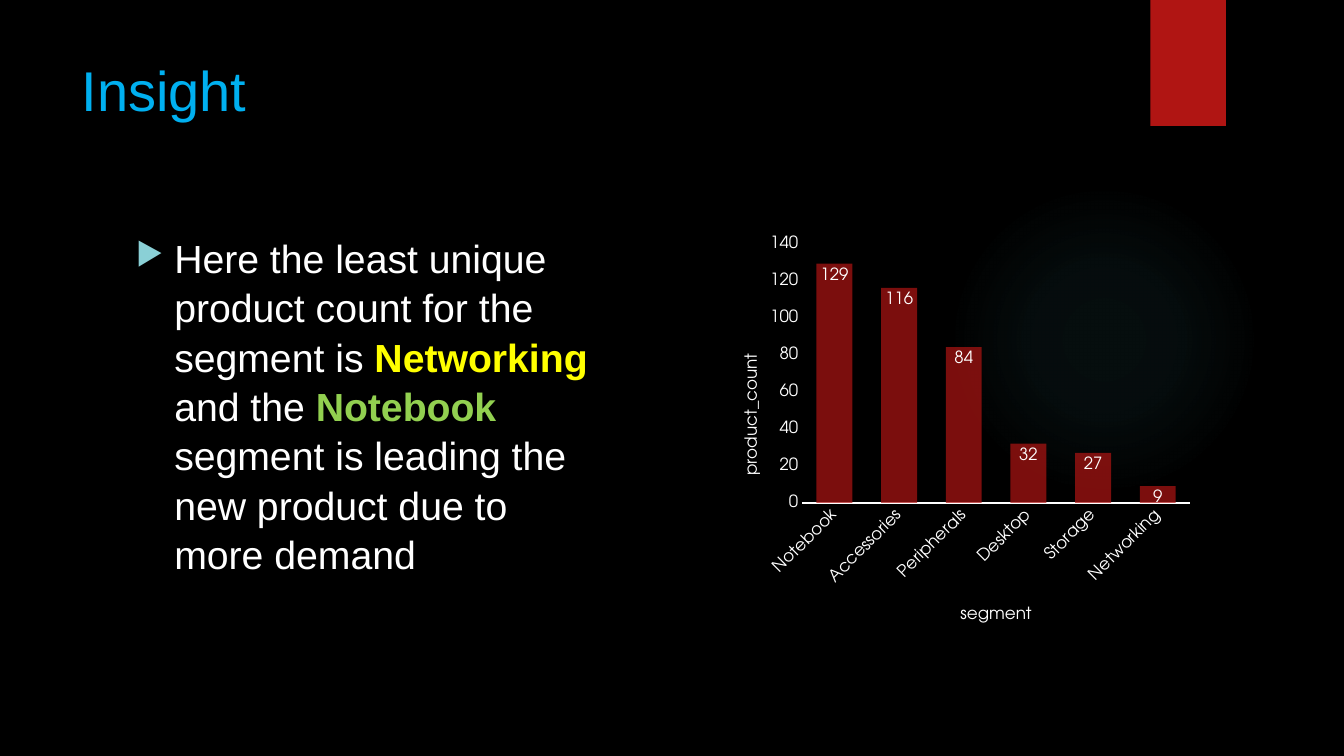
"""Build the Insight slide on product counts by segment."""
from typing import NamedTuple

from lxml import etree
from pptx import Presentation
from pptx.chart.data import CategoryChartData
from pptx.dml.color import RGBColor
from pptx.enum.chart import XL_CHART_TYPE, XL_LABEL_POSITION, XL_TICK_MARK
from pptx.enum.shapes import MSO_SHAPE
from pptx.oxml import parse_xml
from pptx.oxml.ns import nsdecls, qn
from pptx.util import Inches, Pt

COLUMN = XL_CHART_TYPE.COLUMN_CLUSTERED
INSIDE_END = XL_LABEL_POSITION.INSIDE_END
NO_TICK = XL_TICK_MARK.NONE
OVAL, RECT = MSO_SHAPE.OVAL, MSO_SHAPE.RECTANGLE

BLACK = RGBColor(0x00, 0x00, 0x00)
WHITE = RGBColor(0xFF, 0xFF, 0xFF)
RED = RGBColor(0xB0, 0x15, 0x13)
BLUE = RGBColor(0x00, 0xB0, 0xF0)
YELLOW = RGBColor(0xFF, 0xFF, 0x00)
GREEN = RGBColor(0x92, 0xD0, 0x50)
TEAL = RGBColor(0x50, 0xB9, 0xC1)
PALE_TEAL = RGBColor(0x8A, 0xD0, 0xD6)
TEXT_FONT, CHART_FONT = "Arial", "TeX Gyre Adventor"


class Span(NamedTuple):
    text: str
    color: RGBColor = WHITE
    bold: bool = False


class Stop(NamedTuple):
    pos: int
    alpha: int


GLOW = [Stop(0, 7), Stop(36, 6), Stop(69, 0)]
INSIGHT = [
    Span("Here the least unique product count for the segment is "),
    Span("Networking", YELLOW, True),
    Span(" and the "),
    Span("Notebook", GREEN, True),
    Span(" segment is leading the new product due to more demand"),
]
COUNTS = {"Notebook": 129, "Accessories": 116, "Peripherals": 84,
          "Desktop": 32, "Storage": 27, "Networking": 9}


def add_block(slide, kind, left: float, top: float, width: float, height: float):
    sp = slide.shapes.add_shape(kind, Inches(left), Inches(top), Inches(width), Inches(height))
    sp.shadow.inherit = False
    sp.line.fill.background()
    sp.fill.solid()
    sp.fill.fore_color.rgb = RED
    return sp


def add_glow(slide) -> None:
    sp = add_block(slide, OVAL, 9.41, 1.83, 3.08, 3.08)
    stops = "".join(
        f'<a:gs pos="{s.pos * 1000}"><a:srgbClr val="{TEAL}">'
        f'<a:alpha val="{s.alpha * 1000}"/></a:srgbClr></a:gs>' for s in GLOW)
    grad = parse_xml(
        f'<a:gradFill {nsdecls("a")}><a:gsLst>{stops}</a:gsLst><a:path path="circle">'
        '<a:fillToRect l="50000" t="50000" r="50000" b="50000"/></a:path></a:gradFill>')
    sp_pr = sp._element.spPr
    sp_pr.replace(sp_pr.find(qn("a:solidFill")), grad)


def add_text(slide, spans: list[Span], left: float, top: float, width: float, height: float,
             *, size: float, bullet: bool = False, spacing: float = 1.0) -> None:
    sp = slide.shapes.add_textbox(Inches(left), Inches(top), Inches(width), Inches(height))
    tf = sp.text_frame
    tf.word_wrap = True
    p = tf.paragraphs[0]
    p.line_spacing = spacing
    if bullet:
        add_bullet(p)
    for span in spans:
        r = p.add_run()
        r.text = span.text
        style_font(r.font, size, span.color, TEXT_FONT)
        r.font.bold = span.bold


def add_bullet(p) -> None:
    p_pr = p._p.get_or_add_pPr()
    p_pr.set("marL", str(Inches(0.38)))
    p_pr.set("indent", str(-Inches(0.38)))
    color = etree.SubElement(p_pr, qn("a:buClr"))
    etree.SubElement(color, qn("a:srgbClr")).set("val", str(PALE_TEAL))
    etree.SubElement(p_pr, qn("a:buSzPct")).set("val", "80000")
    etree.SubElement(p_pr, qn("a:buChar")).set("char", "▶")


def style_font(font, size: float, color: RGBColor, name: str) -> None:
    font.size = Pt(size)
    font.name = name
    font.color.rgb = color


def place(element, **fractions: float) -> None:
    """Give a chart part a manual layout in fractions of the chart."""
    old = element.find(qn("c:layout"))
    if old is not None:
        element.remove(old)
    target = '<c:layoutTarget val="inner"/>' if "w" in fractions else ""
    modes = "".join(f'<c:{k}Mode val="edge"/>' for k in "xy")
    sizes = "".join(f'<c:{k} val="{v}"/>' for k, v in fractions.items())
    layout = parse_xml(f'<c:layout {nsdecls("c")}><c:manualLayout>{target}{modes}{sizes}'
                       '</c:manualLayout></c:layout>')
    tx = element.find(qn("c:tx"))
    element.insert(0 if tx is None else 1, layout)


def style_axis(axis, title: str, x: float, y: float) -> None:
    axis.has_major_gridlines = False
    axis.major_tick_mark = axis.minor_tick_mark = NO_TICK
    style_font(axis.tick_labels.font, 12, WHITE, CHART_FONT)
    tf = axis.axis_title.text_frame
    tf.text = title
    font = tf.paragraphs[0].runs[0].font
    style_font(font, 12, WHITE, CHART_FONT)
    font.bold = False
    place(axis.axis_title._element, x=x, y=y)


def add_count_chart(slide) -> None:
    data = CategoryChartData()
    data.categories = list(COUNTS)
    data.add_series("Series 1", list(COUNTS.values()))
    chart = slide.shapes.add_chart(
        COLUMN, Inches(7.09), Inches(2.25), Inches(4.81), Inches(4.09), data).chart
    chart.has_legend = chart.has_title = False
    style_font(chart.font, 10, WHITE, CHART_FONT)
    place(chart._chartSpace.chart.plotArea, x=0.18, y=0.04, w=0.8, h=0.63)

    cat, val = chart.category_axis, chart.value_axis
    style_axis(cat, "segment", 0.5, 0.91)
    style_axis(val, "product_count", 0.05, 0.3)
    cat.format.line.color.rgb = WHITE
    cat.format.line.width = Pt(1.25)
    cat.tick_labels.font._element.getparent().getparent().getparent().find(
        qn("a:bodyPr")).set("rot", "-2700000")
    val.format.line.fill.background()
    val.minimum_scale, val.maximum_scale, val.major_unit = 0, 140, 20

    plot = chart.plots[0]
    plot.vary_by_categories = False
    plot.gap_width, plot.overlap = 80, 25
    series = plot.series[0]
    fill = series.format.fill
    fill.solid()
    fill.fore_color.rgb = RED
    color = series._element.spPr.find(qn("a:solidFill"))[0]
    etree.SubElement(color, qn("a:alpha")).set("val", "70000")
    labels = series.data_labels
    labels.show_value = True
    labels.position = INSIDE_END
    style_font(labels.font, 12, WHITE, CHART_FONT)


def main() -> None:
    prs = Presentation()
    prs.slide_width, prs.slide_height = Inches(13.33), Inches(7.5)
    slide = prs.slides.add_slide(prs.slide_layouts[6])
    slide.background.fill.solid()
    slide.background.fill.fore_color.rgb = BLACK
    add_glow(slide)
    add_block(slide, RECT, 11.41, 0, 0.75, 1.25)
    add_text(slide, [Span("Insight", BLUE)], 0.71, 0.5, 10.29, 1.15, size=40)
    add_text(slide, INSIGHT, 1.25, 2.25, 4.81, 4.09, size=28, bullet=True, spacing=1.05)
    add_count_chart(slide)
    prs.save("out.pptx")


if __name__ == "__main__":
    main()
